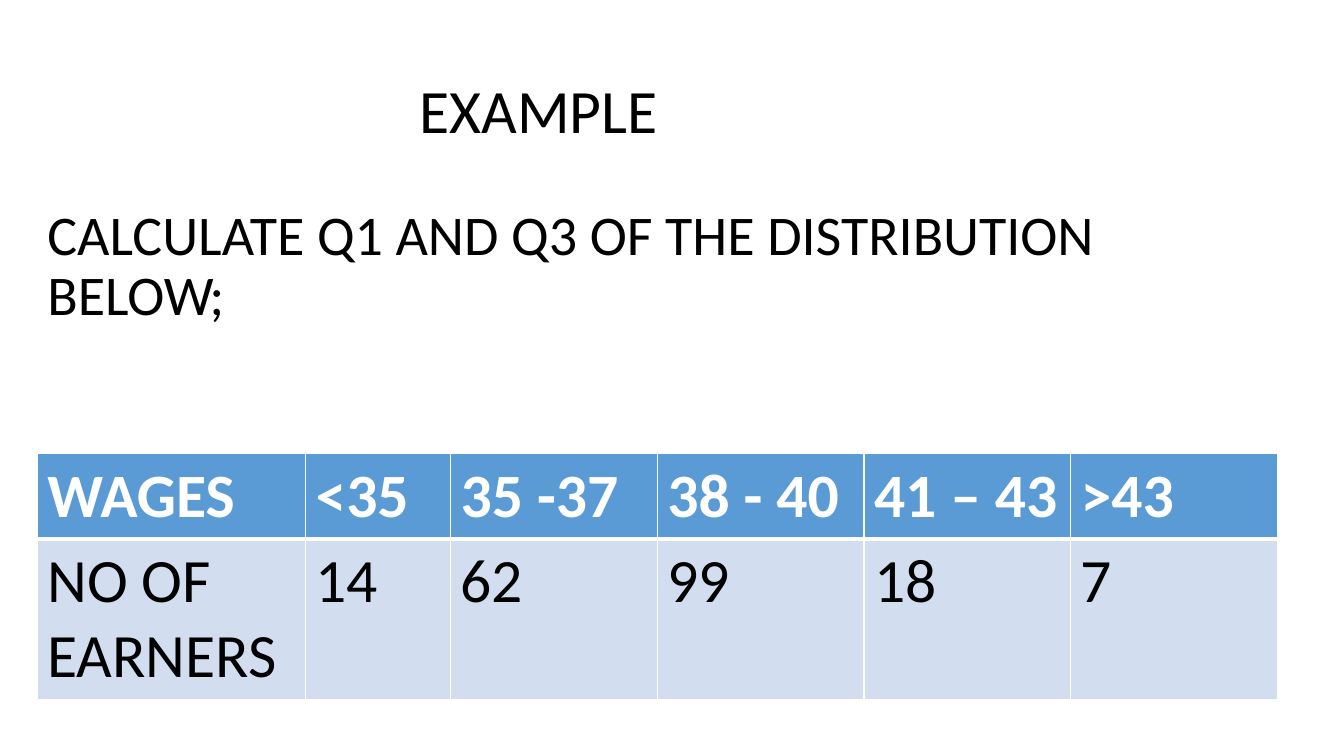
import pptx
import pptx.dml.color
import pptx.enum.text
import pptx.oxml
import pptx.oxml.ns
import pptx.util
import lxml.etree

Inches = pptx.util.Inches
Pt = pptx.util.Pt
THEME = {
    "font": "Calibri",
    "large": 44,
    "body": 40,
    "text": "000000",
    "white": "FFFFFF",
    "header": "5B9BD5",
    "row": "D2DEEF",
}


def write_text(text_frame, text, size=THEME["large"], color=THEME["text"],
               bold=False, line_spacing=None, space_before=None):
    paragraph = text_frame.paragraphs[0]
    paragraph.alignment = pptx.enum.text.PP_ALIGN.LEFT
    paragraph.line_spacing = line_spacing
    paragraph.space_before = space_before
    run = paragraph.add_run()
    run.text = text
    run.font.name = THEME["font"]
    run.font.size = Pt(size)
    run.font.bold = bold
    run.font.color.rgb = pptx.dml.color.RGBColor.from_string(color)
    return paragraph


def set_borders(cell, widths):
    properties = cell._tc.get_or_add_tcPr()
    for position, (side, width) in enumerate(widths.items()):
        border = pptx.oxml.parse_xml(
            f'<a:{side} {pptx.oxml.ns.nsdecls("a")} w="{Pt(width)}"><a:solidFill>'
            f'<a:srgbClr val="{THEME["white"]}"/></a:solidFill></a:{side}>'
        )
        properties.insert(position, border)


presentation = pptx.Presentation()
presentation.slide_width = Inches(13.33)
presentation.slide_height = Inches(7.5)
slide = presentation.slides.add_slide(presentation.slide_layouts[1])

title = slide.shapes.title
title.left, title.top, title.width, title.height = map(Inches, (0.92, 0.4, 11.5, 1.45))
title.text_frame.auto_size = pptx.enum.text.MSO_AUTO_SIZE.NONE
title.text_frame.vertical_anchor = pptx.enum.text.MSO_ANCHOR.MIDDLE
title.text_frame.margin_left = Inches(3.24)
write_text(title.text_frame, "EXAMPLE", line_spacing=0.9)

body = slide.placeholders[1]
body.left, body.top, body.width, body.height = map(Inches, (0.37, 2, 12.3, 4.91))
body.text_frame.auto_size = pptx.enum.text.MSO_AUTO_SIZE.NONE
question = write_text(
    body.text_frame, "CALCULATE Q1 AND Q3 OF THE DISTRIBUTION BELOW;",
    size=THEME["body"], line_spacing=0.9, space_before=Pt(10),
)
question_properties = question._p.get_or_add_pPr()
question_properties.set("marL", "0")
question_properties.set("indent", "0")
lxml.etree.SubElement(question_properties, pptx.oxml.ns.qn("a:buNone"))

wage_rows = [
    ["WAGES", "˂35", "35 -37", "38 - 40", "41 – 43", "˃43"],
    ["NO OF EARNERS", "14", "62", "99", "18", "7"],
]
row_formats = [
    {"fill": THEME["header"], "color": THEME["white"], "bold": True, "top": 1, "bottom": 3},
    {"fill": THEME["row"], "color": THEME["text"], "bold": False, "top": 3, "bottom": 1},
]
table = slide.shapes.add_table(
    2, 6, Inches(0.37), Inches(4.5), Inches(12.3), Inches(2.4)
).table
for column, width in zip(table.columns, [2.66, 1.44] + [2.05] * 4):
    column.width = Inches(width)
for row, height in zip(table.rows, [0.83, 1.57]):
    row.height = Inches(height)
for row, texts, row_format in zip(table.rows, wage_rows, row_formats):
    for cell, text in zip(row.cells, texts):
        write_text(cell.text_frame, text, color=row_format["color"], bold=row_format["bold"])
        cell.fill.solid()
        cell.fill.fore_color.rgb = pptx.dml.color.RGBColor.from_string(row_format["fill"])
        set_borders(cell, {"lnL": 1, "lnR": 1, "lnT": row_format["top"], "lnB": row_format["bottom"]})

presentation.save("out.pptx")
